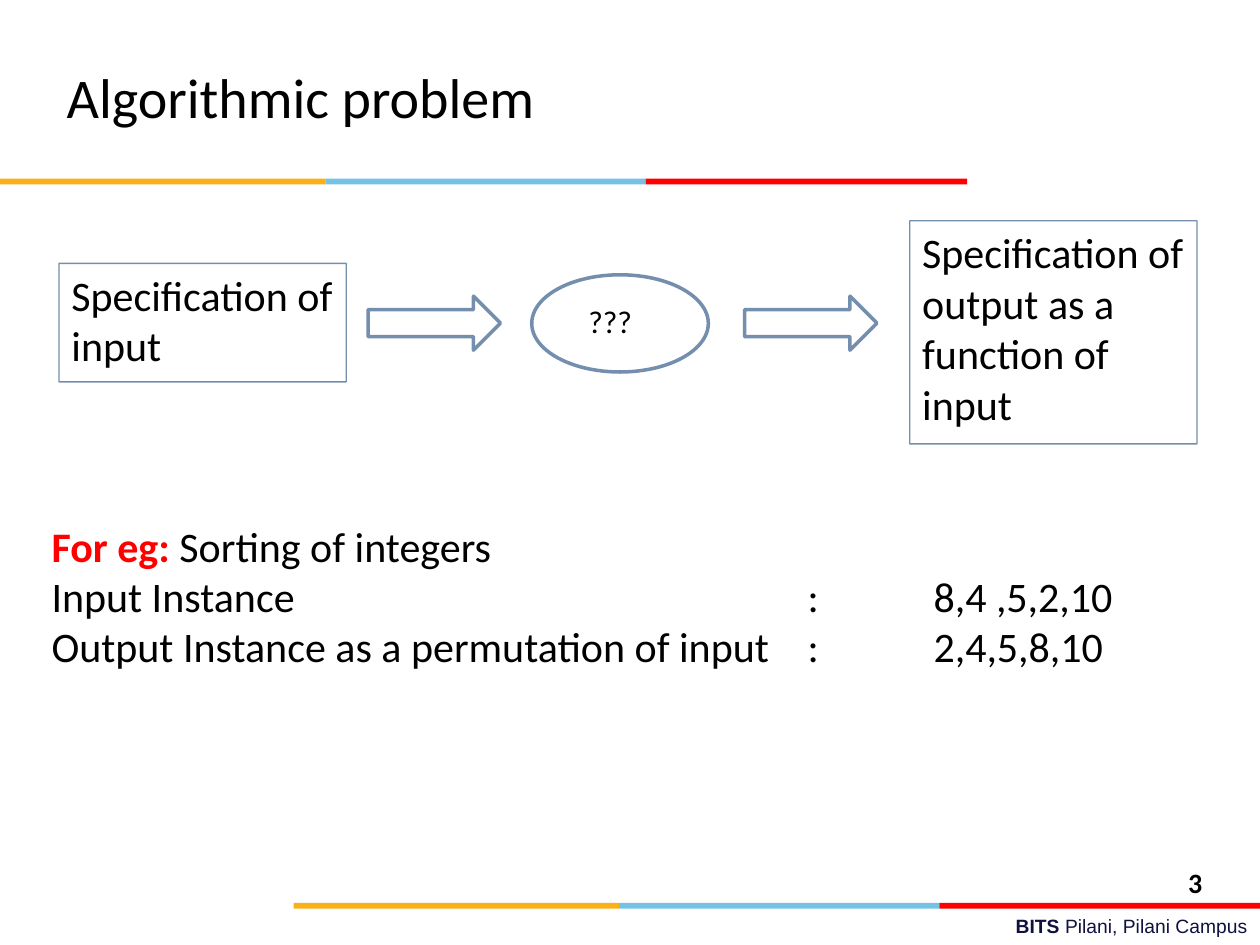
from lxml import etree
from pptx import Presentation
from pptx.dml.color import RGBColor
from pptx.enum.shapes import MSO_SHAPE
from pptx.enum.text import MSO_ANCHOR, PP_ALIGN
from pptx.oxml.ns import qn
from pptx.util import Cm, Pt

RECT, OVAL, ARROW = MSO_SHAPE.RECTANGLE, MSO_SHAPE.OVAL, MSO_SHAPE.RIGHT_ARROW
LEFT, RIGHT = PP_ALIGN.LEFT, PP_ALIGN.RIGHT
TOP, MIDDLE = MSO_ANCHOR.TOP, MSO_ANCHOR.MIDDLE
BLACK, RED, NAVY, STEEL = "000000", "FF0000", "101141", "3A5F8C"
# Band colour and width
BANDS = [("FCB017", 6.56), ("76C2E5", 6.46), (RED, 6.48)]


def paint(color, code):
    color.rgb = RGBColor.from_string(code)


def add_run(para, text, size, code=BLACK, bold=False, face="Calibri"):
    run = para.add_run()
    run.text = text
    run.font.name, run.font.size, run.font.bold = face, Pt(size), bold
    paint(run.font.color, code)


def set_frame(frame, anchor=TOP):
    frame.word_wrap = True
    frame.vertical_anchor = anchor
    return frame.paragraphs[0]


def add_text(slide, x, y, w, h):
    box = slide.shapes.add_textbox(Cm(x), Cm(y), Cm(w), Cm(h))
    set_frame(box.text_frame)
    return box.text_frame


def add_shape(slide, kind, x, y, w, h):
    shape = slide.shapes.add_shape(kind, Cm(x), Cm(y), Cm(w), Cm(h))
    shape.shadow.inherit = False
    return shape


def add_bands(slide, x, y):
    for code, width in BANDS:
        band = add_shape(slide, RECT, x, y, width, 0.12)
        band.fill.solid()
        paint(band.fill.fore_color, code)
        band.line.fill.background()
        x += width


def add_outline(slide, kind, x, y, w, h, weight):
    shape = add_shape(slide, kind, x, y, w, h)
    shape.fill.background()
    shape.line.width = Pt(weight)
    paint(shape.line.color, STEEL)
    # Line at 70 % opacity
    tone = shape.line._ln.find(".//" + qn("a:srgbClr"))
    etree.SubElement(tone, qn("a:alpha"), val="70000")
    return shape


def add_spec(slide, x, y, h, text):
    box = add_outline(slide, RECT, x, y, 5.79, h, 0.75)
    para = set_frame(box.text_frame)
    para.alignment = LEFT
    add_run(para, text, 24)


def set_tabs(para, stops):
    tabs = etree.SubElement(para._p.get_or_add_pPr(), qn("a:tabLst"))
    for stop in stops:
        etree.SubElement(tabs, qn("a:tab"), pos=str(Cm(stop)), algn="l")


def add_title(slide, text):
    title = slide.shapes.title
    title.left, title.top = Cm(1.09), Cm(0.76)
    title.width, title.height = Cm(16.99), Cm(2.36)
    para = set_frame(title.text_frame, MIDDLE)
    para.alignment = LEFT
    add_run(para, text, 32)


def add_flow(slide):
    add_spec(slide, 1.19, 5.31, 2.39, "Specification of input")
    add_spec(slide, 18.34, 4.45, 4.5,
             "Specification of output as a function of input")
    for x in (7.42, 15.01):
        add_outline(slide, ARROW, x, 5.97, 2.67, 1.09, 2)
    add_outline(slide, OVAL, 10.72, 5.54, 3.56, 1.96, 2)
    mark = add_text(slide, 11.61, 5.97, 1.78, 1.07)
    add_run(mark.paragraphs[0], "???", 18)


def add_example(slide):
    frame = add_text(slide, 0.79, 10.36, 24, 4)
    head = frame.paragraphs[0]
    add_run(head, "For eg:", 24, RED, True)
    add_run(head, " Sorting of integers", 24)
    for label, value in [
        ("Input Instance", "8,4 ,5,2,10"),
        ("Output Instance as a permutation of input", "2,4,5,8,10"),
    ]:
        para = frame.add_paragraph()
        set_tabs(para, (15.24, 17.78))
        add_run(para, f"{label}\t:\t{value}", 24)


def add_footer(slide):
    para = add_text(slide, 9.09, 18.31, 16.31, 0.74).paragraphs[0]
    para.alignment = RIGHT
    add_run(para, "BITS ", 11, NAVY, True, "Arial")
    add_run(para, "Pilani, Pilani Campus", 11, NAVY, False, "Arial")
    page = add_text(slide, 23.7, 17.32, 1.7, 0.81)
    add_run(page.paragraphs[0], "3", 16, bold=True)


def main():
    deck = Presentation()
    deck.slide_width, deck.slide_height = Cm(25.4), Cm(19.05)
    slide = deck.slides.add_slide(deck.slide_layouts[5])
    # Colour bands under the title and above the footer
    add_bands(slide, 0, 3.6)
    add_bands(slide, 5.92, 18.2)
    add_title(slide, "Algorithmic problem")
    add_flow(slide)
    add_example(slide)
    add_footer(slide)
    deck.save("out.pptx")


if __name__ == "__main__":
    main()
